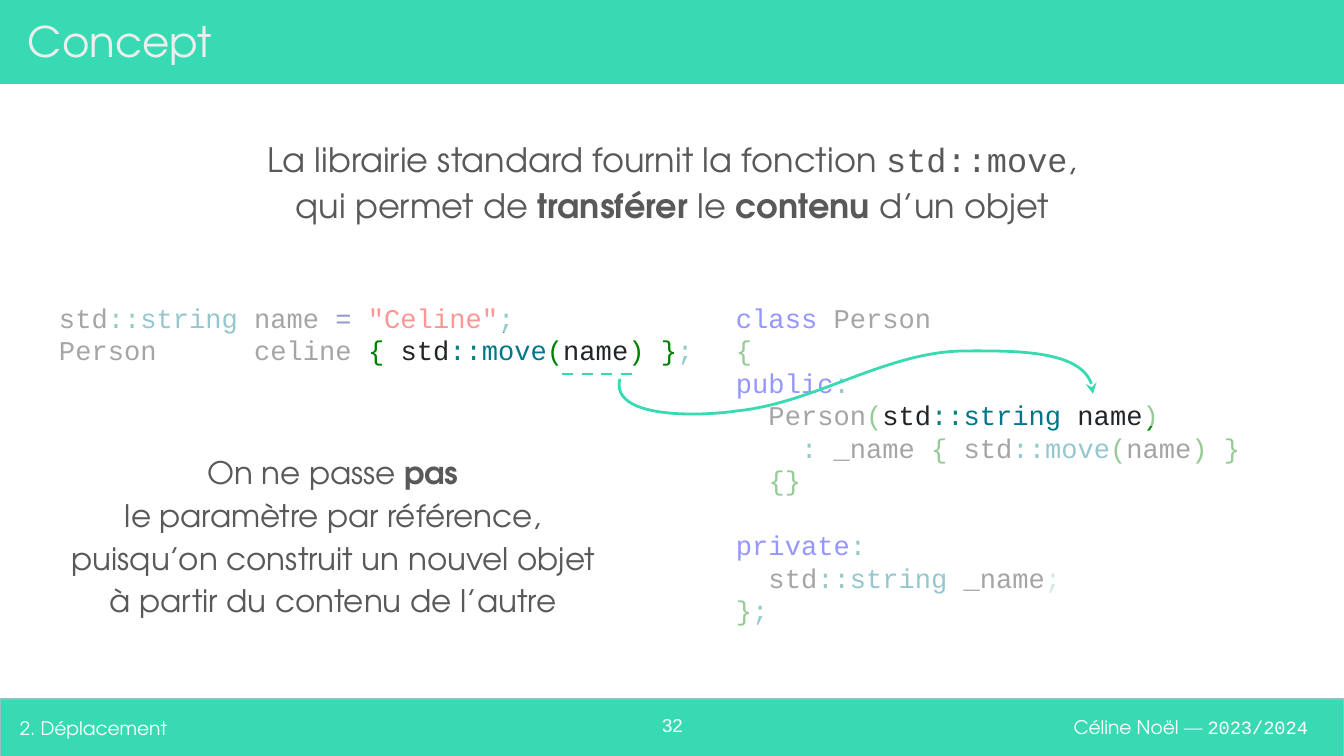
from itertools import groupby

from lxml import etree
from pptx import Presentation
from pptx.dml.color import RGBColor
from pptx.enum.dml import MSO_LINE
from pptx.enum.shapes import MSO_CONNECTOR, MSO_SHAPE
from pptx.enum.text import MSO_ANCHOR, PP_ALIGN
from pptx.oxml.ns import qn
from pptx.util import Pt

PX = 914400 / 134.4
INSET = 13
RECTANGLE, STRAIGHT, DASH = MSO_SHAPE.RECTANGLE, MSO_CONNECTOR.STRAIGHT, MSO_LINE.DASH
TOP, MIDDLE = MSO_ANCHOR.TOP, MSO_ANCHOR.MIDDLE
LEFT, CENTER, RIGHT = PP_ALIGN.LEFT, PP_ALIGN.CENTER, PP_ALIGN.RIGHT

MINT, WHITE, GREY = "38DAB3", "FFFFFF", "595959"
SANS, MONO = "TeX Gyre Adventor", "Courier New"
CODE_INK = "212529"
WORD_COLORS = {"class": "0000FF", "public": "0000FF", "private": "0000FF",
               "string": "007788", "move": "007788", '"Celine"': "FF0000"}
SIGN_COLORS = {**dict.fromkeys("{}()", "008000"), **dict.fromkeys(":;", "008080"),
               "=": "000080", " ": CODE_INK}

CALL_CODE = '''std::string name = "Celine";
Person      celine { std::move(name) };'''
CLASS_CODE = '''class Person
{
public:
  Person(std::string name)
    : _name { std::move(name) }
  {}
 
private:
  std::string _name;
};'''

# Code areas to fade: left, top, width, height
FADED_AREAS = [
    (1048, 563, 214, 69), (48, 298, 309, 78), (368, 282, 176, 50),
    (681, 328, 13, 50), (723, 282, 309, 117), (723, 515, 367, 117),
    (753, 433, 503, 69), (762, 398, 118, 36), (1144, 390, 118, 36),
]
# Start point, then three Bézier points for each curve
ARROW_POINTS = [
    (620, 379), (610, 418), (696, 417), (737, 411), (816, 403),
    (887, 351), (966, 351), (1011, 351), (1093, 349), (1093, 394),
]


def px(value):
    return round(value * PX)


def rgb(color):
    return RGBColor.from_string(color)


def add_block(slide, box, color, alpha=None, outline=None):
    block = slide.shapes.add_shape(RECTANGLE, *map(px, box))
    block.shadow.inherit = False
    block.fill.solid()
    block.fill.fore_color.rgb = rgb(color)
    if alpha:
        fill_color = block.fill._xPr.find(qn("a:solidFill"))[0]
        etree.SubElement(fill_color, qn("a:alpha"), val=str(alpha * 1000))
    if outline:
        block.line.color.rgb = rgb(outline)
        block.line.width = Pt(0.75)
    else:
        block.line.fill.background()


def add_run(paragraph, text, color, **font_format):
    run = paragraph.add_run()
    run.text = text
    run.font.color.rgb = rgb(color)
    for attribute, value in font_format.items():
        setattr(run.font, attribute, value)


def add_frame(slide, box, anchor=TOP):
    frame = slide.shapes.add_textbox(*map(px, box)).text_frame
    settings = {"word_wrap": True, "vertical_anchor": anchor}
    settings |= {f"margin_{side}": px(INSET) for side in ("left", "top", "right", "bottom")}
    for attribute, value in settings.items():
        setattr(frame, attribute, value)
    return frame


def add_label(slide, box, runs, size, align=LEFT, anchor=MIDDLE):
    paragraph = add_frame(slide, box, anchor).paragraphs[0]
    paragraph.alignment = align
    for text, color, font in runs:
        add_run(paragraph, text, color, size=Pt(size), name=font)


def add_statement(slide, box, lines, size):
    paragraph = add_frame(slide, box).paragraphs[0]
    spacing = {"alignment": CENTER, "line_spacing": 1.15, "space_after": Pt(12)}
    for attribute, value in spacing.items():
        setattr(paragraph, attribute, value)
    for index, line in enumerate(lines):
        if index:
            paragraph.add_line_break()
        for text, changes in line:
            add_run(paragraph, text, GREY, **{"size": Pt(size), "name": SANS, **changes})


def add_code(slide, box, code):
    frame = add_frame(slide, box)
    for index, line in enumerate(code.split("\n")):
        paragraph = frame.add_paragraph() if index else frame.paragraphs[0]
        for sign_color, letters in groupby(line, SIGN_COLORS.get):
            token = "".join(letters)
            color = sign_color or WORD_COLORS.get(token, CODE_INK)
            add_run(paragraph, token, color, size=Pt(14.5), name=MONO)


def style_stroke(shape):
    shape.line.color.rgb = rgb(MINT)
    shape.line.width = Pt(1.5)


def add_dashes(slide, start, end):
    dashes = slide.shapes.add_connector(STRAIGHT, *map(px, start + end))
    style_stroke(dashes)
    dashes.line.dash_style = DASH
    etree.SubElement(dashes._element.spPr, qn("a:effectLst"))


def add_curved_arrow(slide, points):
    start, *rest = [(px(x), px(y)) for x, y in points]
    builder = slide.shapes.build_freeform(*start)
    builder.add_line_segments(rest, close=False)
    arrow = builder.convert_to_shape()
    arrow.shadow.inherit = False
    arrow.fill.background()
    style_stroke(arrow)
    # Each three line steps become one cubic curve
    steps = arrow._element.xpath(".//a:lnTo")
    outline = steps[0].getparent()
    for first in range(0, len(steps), 3):
        curve = etree.SubElement(outline, qn("a:cubicBezTo"))
        for step in steps[first:first + 3]:
            curve.append(step[0])
            outline.remove(step)
    etree.SubElement(arrow.line._get_or_add_ln(), qn("a:tailEnd"), type="stealth")


def main():
    deck = Presentation()
    deck.slide_width, deck.slide_height = px(1344), px(756)
    slide = deck.slides.add_slide(deck.slide_layouts[6])

    # Header and footer
    add_block(slide, (0, 699, 1344, 59), MINT, outline="93C0C5")
    add_label(slide, (965, 698, 356, 59),
              [("Céline Noël ", WHITE, SANS), ("— ", "E2EEFF", SANS),
               ("2023/2024", WHITE, MONO)], 10, RIGHT)
    add_block(slide, (0, 0, 1344, 84), MINT)
    add_label(slide, (15, 8, 1274, 65), [("Concept", "EEEEEE", SANS)], 22.5)
    add_label(slide, (632, 703, 81, 48), [("32", WHITE, "Arial")], 10, CENTER, TOP)
    add_label(slide, (7, 699, 610, 59), [("2. Déplacement", WHITE, SANS)], 10)

    # Code, with all but the key parts faded
    add_code(slide, (723, 288, 581, 355), CLASS_CODE)
    add_code(slide, (46, 288, 726, 93), CALL_CODE)
    for area in FADED_AREAS:
        add_block(slide, area, WHITE, alpha=59)

    # Explanations
    bold = {"bold": True}
    add_statement(slide, (43, 120, 1258, 133), [
        [("La librairie standard fournit la fonction ", {}),
         ("std::move", {"name": MONO}), (",", {})],
        [("qui permet de ", {}), ("transférer ", bold), ("le ", {}),
         ("contenu ", bold), ("d’un objet", {})],
    ], 18)
    add_statement(slide, (48, 435, 570, 208), [
        [("On ne passe ", {}), ("pas", bold)],
        [("le paramètre par référence, puisqu’on construit un nouvel objet "
          "à partir du contenu de l’autre", {})],
    ], 16.6)

    # Transfer from the argument to the parameter
    add_dashes(slide, (562, 374), (633, 374))
    add_curved_arrow(slide, ARROW_POINTS)

    deck.save("out.pptx")


if __name__ == "__main__":
    main()
